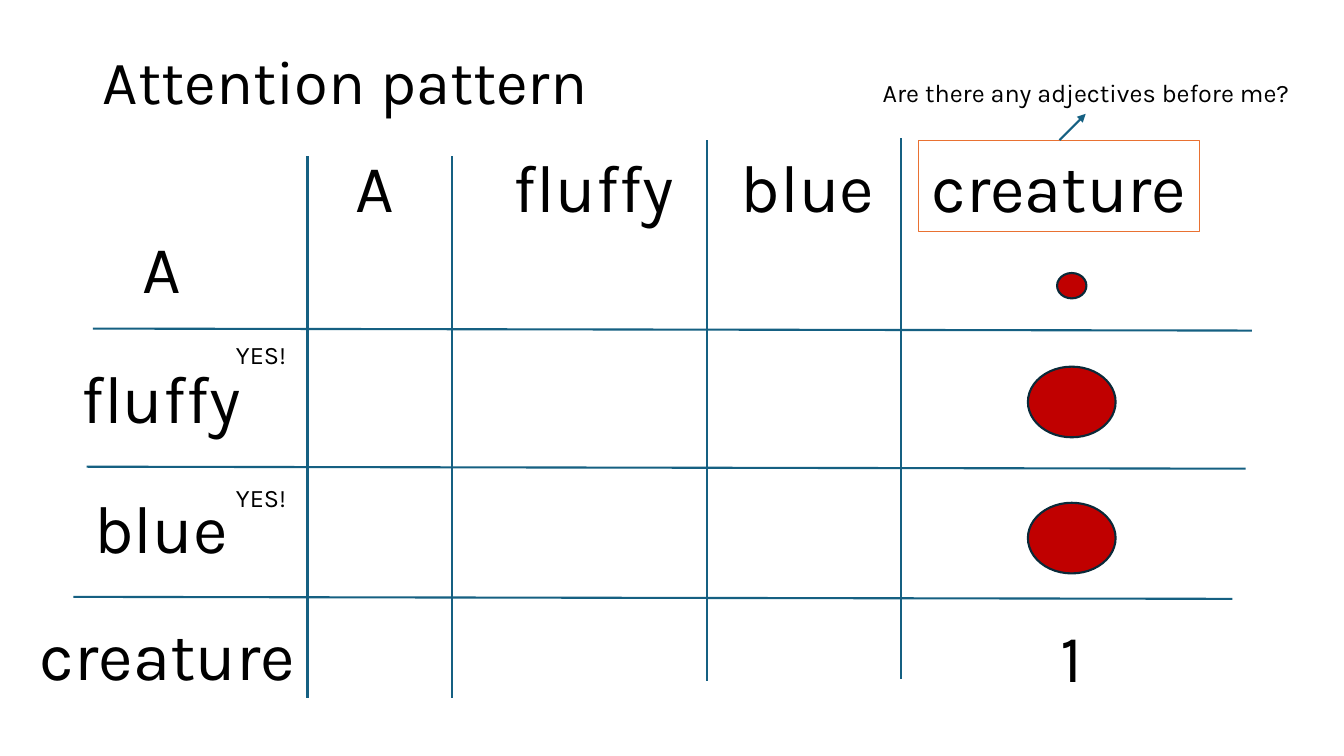
from dataclasses import dataclass

from lxml.etree import SubElement
from pptx import Presentation
from pptx.dml.color import RGBColor
from pptx.enum.shapes import MSO_CONNECTOR, MSO_SHAPE
from pptx.enum.text import MSO_ANCHOR, MSO_AUTO_SIZE, PP_ALIGN
from pptx.oxml.ns import qn
from pptx.util import Cm, Pt

FONT = "Karla"
BLACK = "000000"
BLUE = "156082"
ORANGE = "E97132"
RED = "C00000"
NAVY = "092A39"
BIG, SMALL = 48, 18
TALL, SHORT = 2.31, 1.02
HEAD = 3.53


@dataclass
class Label:
    text: str
    left: float
    top: float
    width: float
    size: int = BIG
    frame: str = ""


@dataclass
class Rule:
    x: float
    y: float
    wide: float
    high: float
    arrow: bool = False


@dataclass
class Dot:
    mid: float
    wide: float
    high: float


LABELS = [
    Label("A", 7.75, HEAD, 3.4),
    Label("fluffy", 12.14, HEAD, 5.64),
    Label("blue", 17.53, HEAD, 5.64),
    Label("creature", 23.16, HEAD, 7.06, frame=ORANGE),
    Label("A", 2.39, 5.59, 3.4),
    Label("fluffy", 1.24, 8.86, 5.64),
    Label("blue", 1.24, 12.14, 5.64),
    Label("creature", 0.69, 15.32, 7.06),
    Label("1", 25.3, 15.39, 3.4),
    Label("Are there any adjectives before me?", 21.54, 1.83, 11.66, SMALL),
    Label("YES!", 5.13, 8.43, 2.9, SMALL),
    Label("YES!", 5.13, 12.04, 2.9, SMALL),
]
COLUMNS = [(7.75, 3.94), (11.4, 3.94), (17.81, 3.53), (22.71, 3.48)]
ROWS = [(2.34, 8.28), (2.18, 11.76), (1.85, 15.04)]
RULES = [
    *(Rule(x, y, 0, 13.64) for x, y in COLUMNS),
    *(Rule(x, y, 29.21, 0.05) for x, y in ROWS),
    Rule(26.7, HEAD, 0.66, -0.66, arrow=True),
]
DOTS = [Dot(7.2, 0.74, 0.64), Dot(10.13, 2.21, 1.78), Dot(13.56, 2.21, 1.78)]
CENTRE = 27.01


def paint(value: str) -> RGBColor:
    return RGBColor.from_string(value)


def stroke(line, value: str, width: float) -> None:
    line.color.rgb = paint(value)
    line.width = Pt(width)


def style(frame, size: int, align: PP_ALIGN) -> None:
    for para in frame.paragraphs:
        para.alignment = align
        for run in para.runs:
            run.font.name = FONT
            run.font.size = Pt(size)
            run.font.color.rgb = paint(BLACK)


def head(slide, text: str) -> None:
    title = slide.shapes.title
    title.left, title.top = Cm(2.34), Cm(0.3)
    title.width, title.height = Cm(29.21), Cm(3.68)
    frame = title.text_frame
    frame.text = text
    frame.auto_size = MSO_AUTO_SIZE.NONE
    frame.vertical_anchor = MSO_ANCHOR.MIDDLE
    frame.paragraphs[0].line_spacing = 0.9
    style(frame, 44, PP_ALIGN.LEFT)


def write(slide, label: Label) -> None:
    high = TALL if label.size == BIG else SHORT
    box = slide.shapes.add_textbox(
        Cm(label.left), Cm(label.top), Cm(label.width), Cm(high))
    if label.frame:
        stroke(box.line, label.frame, 0.75)
    frame = box.text_frame
    frame.text = label.text
    frame.word_wrap = True
    frame.auto_size = MSO_AUTO_SIZE.SHAPE_TO_FIT_TEXT
    style(frame, label.size, PP_ALIGN.CENTER)


def draw(slide, rule: Rule) -> None:
    link = slide.shapes.add_connector(
        MSO_CONNECTOR.STRAIGHT, Cm(rule.x), Cm(rule.y),
        Cm(rule.x + rule.wide), Cm(rule.y + rule.high))
    stroke(link.line, BLUE, 1.5)
    if rule.arrow:
        SubElement(link.line._get_or_add_ln(), qn("a:tailEnd"), type="triangle")
    SubElement(link._element.spPr, qn("a:effectLst"))


def spot(slide, dot: Dot) -> None:
    oval = slide.shapes.add_shape(
        MSO_SHAPE.OVAL, Cm(CENTRE - dot.wide / 2), Cm(dot.mid - dot.high / 2),
        Cm(dot.wide), Cm(dot.high))
    oval.shadow.inherit = False
    oval.fill.solid()
    oval.fill.fore_color.rgb = paint(RED)
    stroke(oval.line, NAVY, 1.5)


def main() -> None:
    deck = Presentation()
    deck.slide_width, deck.slide_height = Cm(33.87), Cm(19.05)
    slide = deck.slides.add_slide(deck.slide_layouts[5])
    head(slide, "Attention pattern")
    for label in LABELS:
        write(slide, label)
    for rule in RULES:
        draw(slide, rule)
    for dot in DOTS:
        spot(slide, dot)
    deck.save("out.pptx")


if __name__ == "__main__":
    main()
